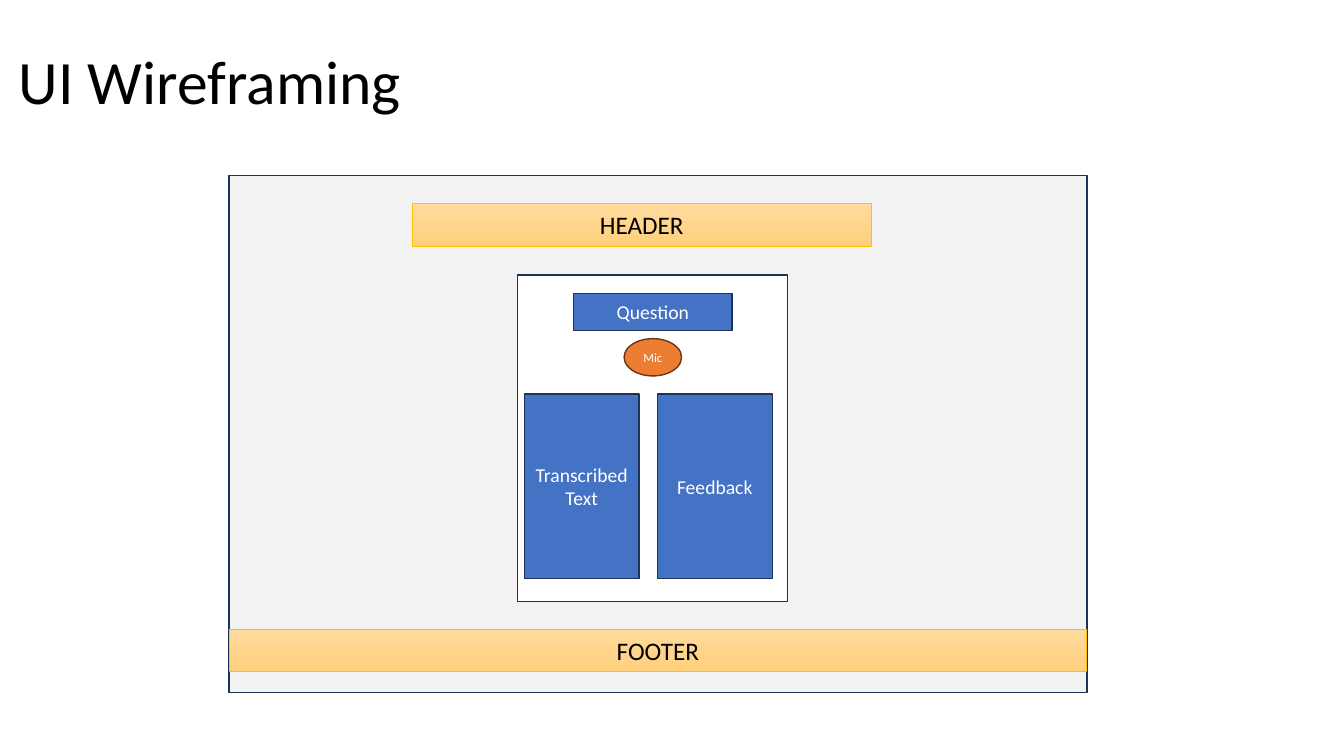
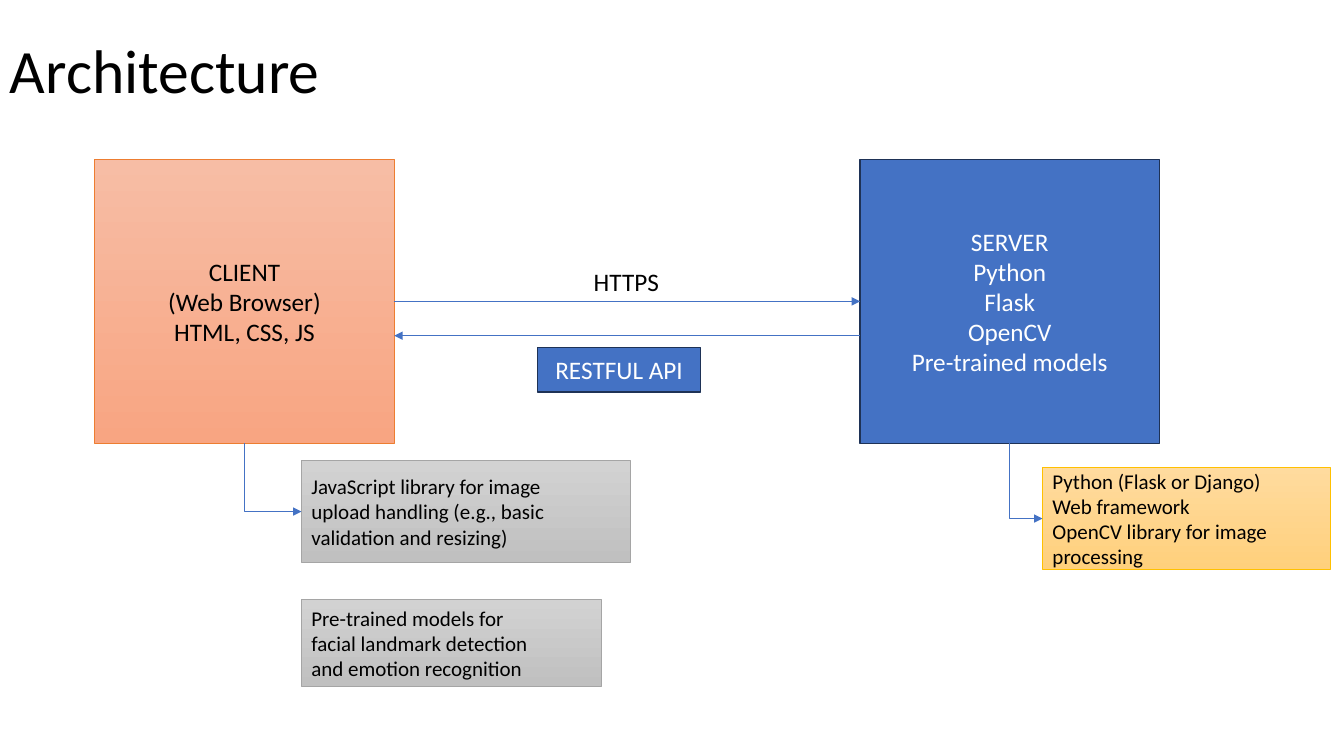
from lxml import etree
from pptx import Presentation
from pptx import util as u
from pptx.dml.color import RGBColor
from pptx.enum import shapes, text
from pptx.oxml import ns

PX = 9144  # 100 px to the inch
FONT = "Calibri"
BLACK, WHITE, BLUE, NAVY = "000000", "FFFFFF", "4472C4", "1E3256"

# fill (a pair is a gradient from top to bottom), line, line width, text colour
PAGE = ("F2F2F2", NAVY, 1, BLACK)
PANEL = (WHITE, NAVY, 1, BLACK)
SOLID = (BLUE, NAVY, 1, WHITE)
ROUND = ("ED7D31", "683715", 1, WHITE)
GOLD = (("FFDB9E", "FFD07C"), "FFC000", 0.5, BLACK)
PEACH = (("F7BDA5", "F8A582"), "ED7D31", 0.5, BLACK)
GREY = (("D2D2D2", "C0C0C0"), "A5A5A5", 0.5, BLACK)

RECT = shapes.MSO_SHAPE.RECTANGLE
OVAL = shapes.MSO_SHAPE.OVAL
LEFT, MID = text.PP_ALIGN.LEFT, text.PP_ALIGN.CENTER
LEFT_SITE, BASE_SITE = 1, 2


def paint(color, value):
    color.rgb = RGBColor.from_string(value)


class Deck:
    def __init__(self, wide, high):
        self.show = Presentation()
        self.show.slide_width, self.show.slide_height = wide * PX, high * PX
        self.slide = None

    def page(self, title, x, y):
        self.slide = self.show.slides.add_slide(self.show.slide_layouts[6])
        self.label((x, y, 1150, 145), title, 44, spacing=0.9)

    def put(self, frame, lines, size, ink, align, spacing=None):
        """Fill a text frame, one paragraph a line."""
        frame.vertical_anchor = text.MSO_ANCHOR.MIDDLE
        for i, line in enumerate(lines):
            para = frame.add_paragraph() if i else frame.paragraphs[0]
            para.alignment = align
            if spacing:
                para.line_spacing = spacing
            run = para.add_run()
            run.text = line
            run.font.name, run.font.size = FONT, u.Pt(size)
            paint(run.font.color, ink)

    def label(self, area, words, size, wrap=True, spacing=None):
        box = self.slide.shapes.add_textbox(*(n * PX for n in area))
        box.text_frame.word_wrap = wrap
        self.put(box.text_frame, [words], size, BLACK, LEFT, spacing)

    def box(self, area, style, lines=(), size=18, align=MID, form=RECT):
        fill, line, weight, ink = style
        shape = self.slide.shapes.add_shape(form, *(n * PX for n in area))
        shape.shadow.inherit = False
        if isinstance(fill, tuple):
            shape.fill.gradient()
            shape.fill.gradient_angle = 270
            for stop, value in zip(shape.fill.gradient_stops, fill):
                paint(stop.color, value)
        else:
            shape.fill.solid()
            paint(shape.fill.fore_color, fill)
        paint(shape.line.color, line)
        shape.line.width = u.Pt(weight)
        shape.text_frame.word_wrap = True
        self.put(shape.text_frame, lines, size, ink, align)
        return shape

    def arrow(self, tip, start, kind=shapes.MSO_CONNECTOR.STRAIGHT):
        """Draw a line whose arrowhead sits at its first point, the tip."""
        ends = (n * PX for n in (*tip, *start))
        link = self.slide.shapes.add_connector(kind, *ends)
        paint(link.line.color, BLUE)
        link.line.width = u.Pt(0.5)
        props = link._element.spPr
        head = etree.SubElement(props.find(ns.qn("a:ln")), ns.qn("a:headEnd"))
        head.set("type", "triangle")
        etree.SubElement(props, ns.qn("a:effectLst"))
        return link

    def elbow(self, owner, note):
        """Lead from the base of the owner down and right to the note."""
        link = self.arrow((0, 0), (0, 0), shapes.MSO_CONNECTOR.ELBOW)
        link.begin_connect(note, LEFT_SITE)
        link.end_connect(owner, BASE_SITE)
        bend = link._element.spPr.find(ns.qn("a:prstGeom"))
        bend.set("prst", "bentConnector2")


def wireframe(deck):
    deck.page("UI Wireframing", 9, 11)
    deck.box((227, 174, 851, 513), PAGE)
    deck.box((513, 273, 268, 324), PANEL)
    deck.box((409, 202, 455, 42), GOLD, ["HEADER"])
    deck.box((227, 624, 851, 42), GOLD, ["FOOTER"])
    deck.box((569, 291, 157, 37), SOLID, ["Question"], 14)
    deck.box((619, 336, 57, 37), ROUND, ["Mic"], 9, form=OVAL)
    for i, words in enumerate(("Transcribed Text", "Feedback")):
        deck.box((520 + 132 * i, 391, 114, 183), SOLID, [words], 14)


def system(deck):
    deck.page("Architecture", 0, 0)
    client = deck.box((94, 158, 297, 282), PEACH,
                      ["CLIENT", "(Web Browser)", "HTML, CSS, JS"])
    server = deck.box((853, 158, 297, 282), SOLID,
                      ["SERVER", "Python", "Flask", "OpenCV",
                       "Pre-trained models"])
    deck.arrow((853, 299), (391, 299))
    deck.arrow((391, 333), (853, 333))
    deck.box((533, 345, 162, 44), SOLID, ["RESTFUL API"])
    deck.label((579, 259, 85, 40), "HTTPS", 18, wrap=False)

    upload = deck.box((299, 457, 326, 101), GREY,
                      ["JavaScript library for image",
                       "upload handling (e.g., basic",
                       "validation and resizing)"], 15, LEFT)
    deck.box((299, 595, 297, 86), GREY,
             ["Pre-trained models for",
              "facial landmark detection",
              "and emotion recognition"], 15, LEFT)
    tools = deck.box((1034, 464, 285, 101), GOLD,
                     ["Python (Flask or Django)",
                      "Web framework",
                      "OpenCV library for image processing"], 15, LEFT)
    deck.elbow(client, upload)
    deck.elbow(server, tools)


def main():
    deck = Deck(1333, 750)
    wireframe(deck)
    system(deck)
    deck.show.save("out.pptx")


if __name__ == "__main__":
    main()
